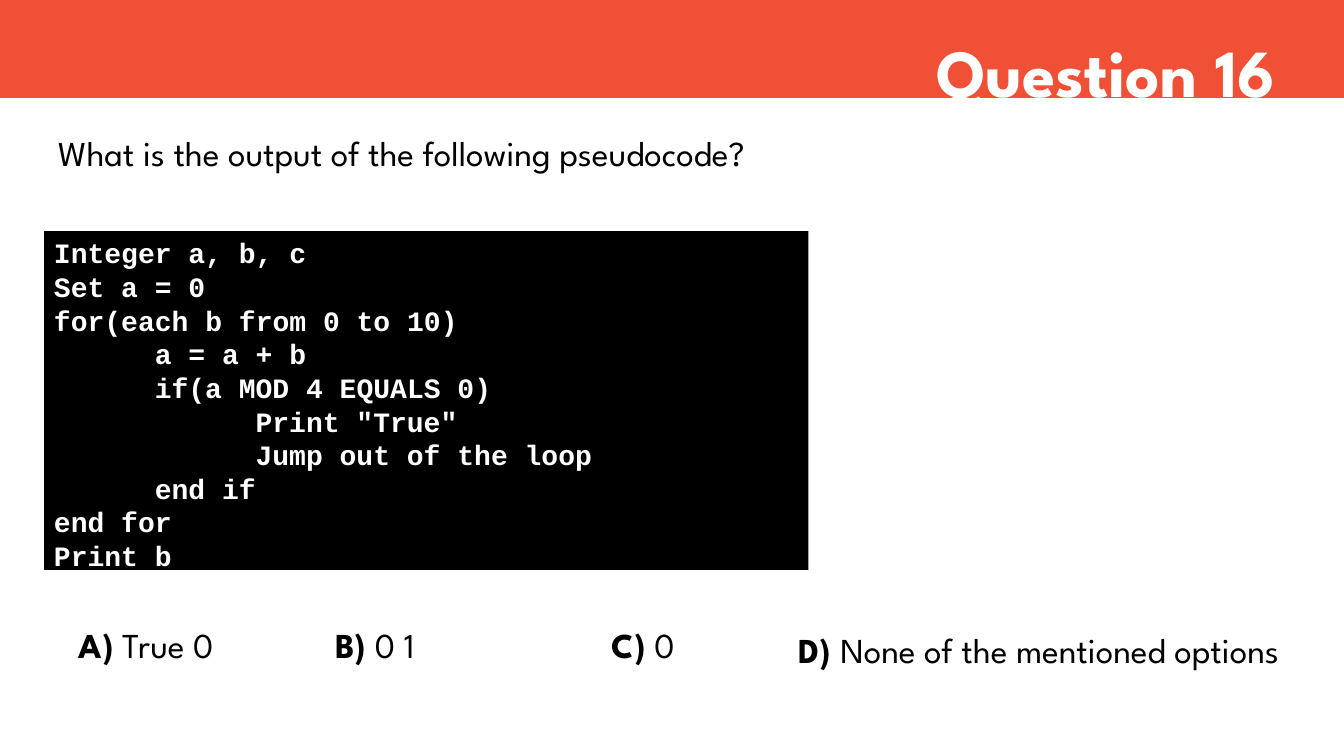
"""Build a quiz slide with a pseudocode question and four answer options."""
from dataclasses import dataclass

from lxml.etree import SubElement
from pptx import Presentation
from pptx.dml.color import RGBColor
from pptx.enum.shapes import MSO_SHAPE as ShapeKind
from pptx.enum.text import MSO_ANCHOR as Anchor, MSO_AUTO_SIZE as AutoSize, PP_ALIGN as Align
from pptx.oxml.ns import qn
from pptx.shapes.autoshape import Shape
from pptx.slide import Slide
from pptx.text.text import Font
from pptx.util import Pt

BLACK = RGBColor(0x00, 0x00, 0x00)
WHITE = RGBColor(0xFF, 0xFF, 0xFF)
ORANGE = RGBColor(0xF0, 0x51, 0x36)
TEXT_FONT = "League Spartan"
CODE_FONT = "Courier New"
TEXT_SIZE = 25
TAB_WIDTH = 72

PSEUDOCODE = """Integer a, b, c
Set a = 0
for(each b from 0 to 10)
\ta = a + b
\tif(a MOD 4 EQUALS 0)
\t\tPrint "True"
\t\tJump out of the loop
\tend if
end for
Print b"""


@dataclass(frozen=True)
class Box:
    left: float
    top: float
    width: float
    height: float

    def lengths(self) -> tuple[Pt, Pt, Pt, Pt]:
        return Pt(self.left), Pt(self.top), Pt(self.width), Pt(self.height)


@dataclass(frozen=True)
class Option:
    label: str
    answer: str
    box: Box


OPTIONS = (
    Option("A)", " True 0", Box(49, 426.5, 183.5, 52.5)),
    Option("B)", " 0 1", Box(232.5, 427, 183.5, 52.5)),
    Option("C)", " 0", Box(430, 426.5, 183.5, 52.5)),
    Option("D) ", "None of the mentioned options", Box(563.5, 430.5, 396.5, 52.5)),
)


def style_font(font: Font, name: str, size: float, color: RGBColor, bold: bool = False) -> None:
    font.name = name
    font.size = Pt(size)
    font.bold = bold
    font.color.rgb = color


def add_block(slide: Slide, box: Box, color: RGBColor) -> Shape:
    block = slide.shapes.add_shape(ShapeKind.RECTANGLE, *box.lengths())
    block.shadow.inherit = False
    block.fill.solid()
    block.fill.fore_color.rgb = color
    block.line.fill.background()
    return block


def add_text_box(slide: Slide, box: Box) -> Shape:
    text_box = slide.shapes.add_textbox(*box.lengths())
    text_box.text_frame.word_wrap = True
    return text_box


def add_code(slide: Slide) -> None:
    frame = add_block(slide, Box(31.5, 165, 546, 242), BLACK).text_frame
    frame.vertical_anchor = Anchor.TOP
    frame.margin_bottom = Pt(72)
    frame.text = PSEUDOCODE
    for paragraph in frame.paragraphs:
        paragraph.alignment = Align.LEFT
        tab_list = SubElement(paragraph._p.get_or_add_pPr(), qn("a:tabLst"))
        for depth in (1, 2):
            SubElement(tab_list, qn("a:tab"), pos=str(Pt(depth * TAB_WIDTH)), algn="l")
        style_font(paragraph.font, CODE_FONT, 20, WHITE, bold=True)


def add_title(slide: Slide) -> None:
    title = slide.shapes.title
    title.left, title.top, title.width, title.height = Box(306, 18, 612, 65.5).lengths()
    frame = title.text_frame
    frame.text = "Question 16"
    frame.vertical_anchor = Anchor.TOP
    frame.auto_size = AutoSize.NONE
    paragraph = frame.paragraphs[0]
    paragraph.alignment = Align.RIGHT
    style_font(paragraph.font, TEXT_FONT, 48, WHITE, bold=True)
    slide.shapes._spTree.append(title._element)


def add_question(slide: Slide) -> None:
    frame = add_text_box(slide, Box(34.5, 90.5, 862.5, 37.5)).text_frame
    frame.text = "What is the output of the following pseudocode?"
    style_font(frame.paragraphs[0].font, TEXT_FONT, TEXT_SIZE, BLACK)


def add_option(slide: Slide, option: Option) -> None:
    paragraph = add_text_box(slide, option.box).text_frame.paragraphs[0]
    paragraph.line_spacing = 1.5
    for text, bold in ((option.label, True), (option.answer, False)):
        run = paragraph.add_run()
        run.text = text
        style_font(run.font, TEXT_FONT, TEXT_SIZE, BLACK, bold)


def main() -> None:
    presentation = Presentation()
    presentation.slide_width, presentation.slide_height = Pt(960), Pt(540)
    slide = presentation.slides.add_slide(presentation.slide_layouts[5])
    add_code(slide)
    add_block(slide, Box(0, 0, 960, 70), ORANGE)
    add_title(slide)
    add_question(slide)
    for option in OPTIONS:
        add_option(slide, option)
    presentation.save("out.pptx")


if __name__ == "__main__":
    main()
